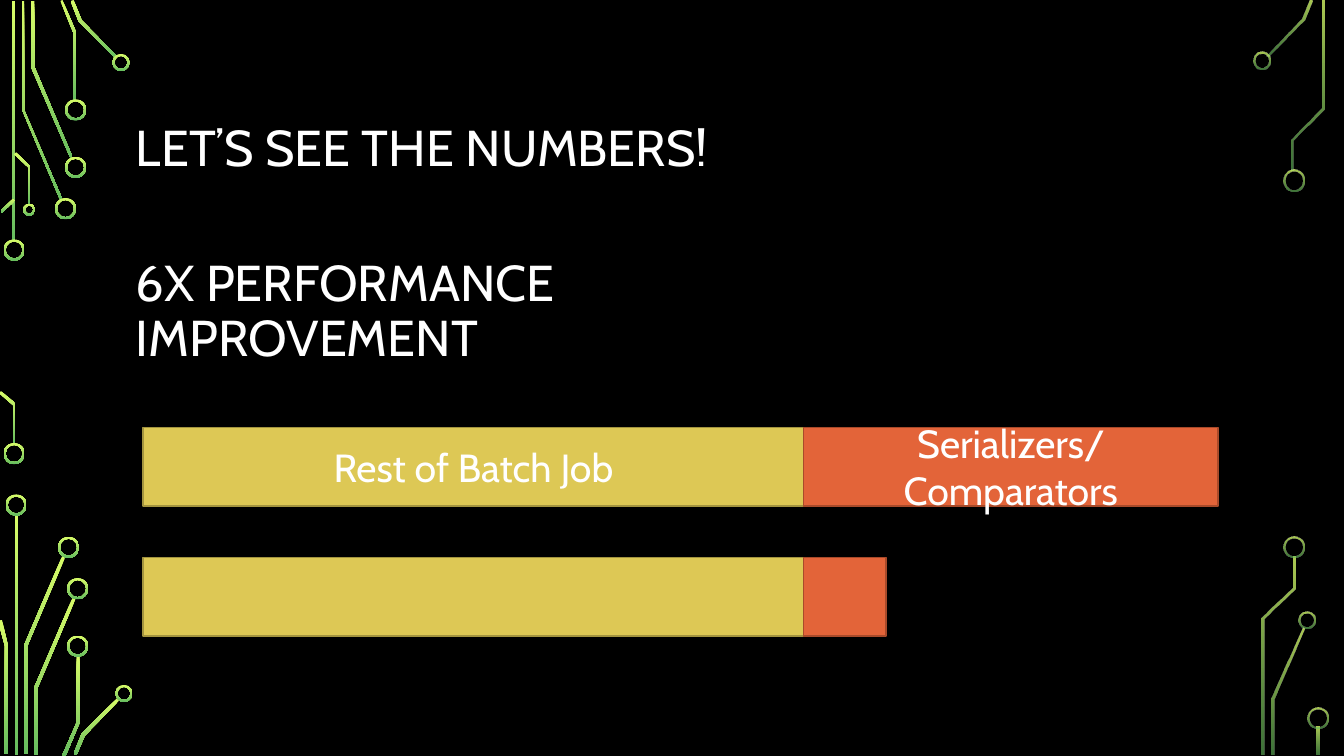
from lxml import etree
from pptx import Presentation
from pptx.dml.color import RGBColor
from pptx.enum.shapes import MSO_SHAPE
from pptx.enum.text import MSO_ANCHOR, PP_ALIGN
from pptx.oxml.ns import qn
from pptx.util import Inches, Pt

RECT = MSO_SHAPE.RECTANGLE
DONUT = MSO_SHAPE.DONUT
MIDDLE = MSO_ANCHOR.MIDDLE
LEFT = PP_ALIGN.LEFT
CENTER = PP_ALIGN.CENTER

FONT = "Cabin"
LIME, GREEN = "D8FC68", "66BD5F"
GOLD, OLIVE = "DDC855", "A3943F"
ORANGE, RUST = "E36439", "A84A2A"
RIM = 0.02

LEFT_BARS = [(0.12, 0.01, 0.03, 2.39), (0.15, 5.1, 0.03, 2.39)]
LEFT_RINGS = [
    (0.14, 2.48, 0.21), (0.14, 4.5, 0.21), (0.65, 2.07, 0.21),
    (0.75, 1.66, 0.21), (0.75, 1.09, 0.21), (1.2, 0.62, 0.17),
    (0.29, 2.08, 0.12), (0.16, 5.01, 0.21), (0.68, 5.43, 0.21),
    (0.77, 5.84, 0.21), (0.77, 6.41, 0.21), (1.23, 6.88, 0.17),
]
LEFT_WIRES = [
    [(0.6, 1.99), (0.22, 1.09), (0.22, 0.01), (0.24, 0.01), (0.24, 1.09), (0.62, 1.98)],
    [(0.7, 1.57), (0.31, 0.67), (0.31, 0.01), (0.34, 0.01), (0.34, 0.66), (0.72, 1.56)],
    [(0.76, 1), (0.73, 1), (0.73, 0.33), (0.6, 0.01), (0.62, 0), (0.76, 0.33)],
    [(1.15, 0.58), (0.78, 0.21), (0.7, 0.01), (0.73, 0), (0.81, 0.2), (1.16, 0.56)],
    [(0.02, 2.11), (0.01, 2.09), (0.13, 1.97), (0.15, 1.99)],
    [(0.15, 4.41), (0.13, 4.41), (0.13, 4.02), (-0.01, 3.9), (0.01, 3.88), (0.15, 4)],
    [(0.3, 2.03), (0.28, 2.03), (0.28, 1.66), (0.14, 1.53), (0.16, 1.51), (0.3, 1.65)],
    [(0.27, 7.48), (0.24, 7.48), (0.24, 6.4), (0.62, 5.51), (0.65, 5.52), (0.27, 6.41)],
    [(0.08, 7.48), (0.05, 7.48), (0.05, 6.41), (-0.02, 6.16), (0.02, 6.15), (0.08, 6.41)],
    [(0.37, 7.49), (0.34, 7.49), (0.34, 6.82), (0.72, 5.93), (0.75, 5.94), (0.37, 6.83)],
    [(0.65, 7.5), (0.62, 7.49), (0.76, 7.17), (0.76, 6.5), (0.79, 6.5), (0.79, 7.17)],
    [(0.76, 7.49), (0.73, 7.48), (0.81, 7.28), (1.17, 6.92), (1.19, 6.94), (0.84, 7.3)],
]
RIGHT_BARS = [(0.63, 7.21, 0.03, 0.28)]
RIGHT_RINGS = [
    (0.09, 0.6, 0.17), (0.4, 1.79, 0.21), (0.53, 6.15, 0.17),
    (0.4, 5.43, 0.21), (0.64, 7.12, 0.21),
]
RIGHT_WIRES = [
    [(0.15, 0.56), (0.13, 0.55), (0.48, 0.19), (0.56, 0), (0.59, 0.01), (0.51, 0.2)],
    [(0.21, 7.49), (0.18, 7.49), (0.18, 6.93), (0.49, 6.23), (0.51, 6.24), (0.21, 6.94)],
    [(0.4, 1.69), (0.38, 1.69), (0.38, 1.38), (0.68, 1.07), (0.68, 0.01),
     (0.71, 0.01), (0.71, 1.08), (0.4, 1.39)],
    [(0.11, 7.49), (0.08, 7.49), (0.08, 6.13), (0.39, 5.83), (0.39, 5.52),
     (0.42, 5.52), (0.42, 5.84), (0.11, 6.14)],
]


def rgb(code):
    """Turn a hex string into a colour."""
    return RGBColor.from_string(code)


def glow(shape, alphas):
    """Fill a circuit part with the lime to green fade."""
    shape.shadow.inherit = False
    shape.line.fill.background()
    shape.fill.gradient()
    shape.fill.gradient_angle = 270
    for stop, code in zip(shape.fill.gradient_stops, (LIME, GREEN)):
        stop.color.rgb = rgb(code)
    if alphas:
        for tint, alpha in zip(shape.element.iter(qn("a:srgbClr")), alphas):
            etree.SubElement(tint, qn("a:alpha")).set("val", str(alpha * 1000))


def circuit(slide, x, bars, rings, wires, alphas=None):
    """Draw one edge of circuit traces starting at x."""
    shapes = slide.shapes
    for left, top, width, height in bars:
        bar = shapes.add_shape(RECT, Inches(x + left), Inches(top), Inches(width), Inches(height))
        glow(bar, alphas)
    for points in wires:
        spots = [(Inches(x + px), Inches(py)) for px, py in points]
        pen = shapes.build_freeform(*spots[0])
        pen.add_line_segments(spots[1:], close=True)
        glow(pen.convert_to_shape(), alphas)
    for mid, level, size in rings:
        ring = shapes.add_shape(DONUT, Inches(x + mid - size / 2), Inches(level - size / 2),
                                Inches(size), Inches(size))
        ring.adjustments[0] = RIM / size
        glow(ring, alphas)


def write(shape, text, size=28, align=CENTER, space=1.0, color="FFFFFF"):
    """Put formatted text in a shape."""
    frame = shape.text_frame
    frame.word_wrap = True
    frame.vertical_anchor = MIDDLE
    para = frame.paragraphs[0]
    para.alignment = align
    para.line_spacing = space
    run = para.add_run()
    run.text = text
    run.font.name = FONT
    run.font.size = Pt(size)
    run.font.color.rgb = rgb(color)


def heading(slide, x, y, width, text):
    """Place a large heading."""
    box = slide.shapes.add_textbox(Inches(x), Inches(y), Inches(width), Inches(1.62))
    write(box, text, size=36, align=LEFT, space=0.9)


def timing(slide, x, y, parts):
    """Place a row of bar segments end to end."""
    for width, fill, edge, label in parts:
        part = slide.shapes.add_shape(RECT, Inches(x), Inches(y), Inches(width), Inches(0.78))
        part.shadow.inherit = False
        part.fill.solid()
        part.fill.fore_color.rgb = rgb(fill)
        part.line.color.rgb = rgb(edge)
        part.line.width = Pt(1.25)
        if label:
            write(part, label)
        x += width


def main():
    """Build the slide and save it."""
    deck = Presentation()
    deck.slide_width, deck.slide_height = Inches(13.33), Inches(7.5)
    slide = deck.slides.add_slide(deck.slide_layouts[6])
    slide.background.fill.solid()
    slide.background.fill.fore_color.rgb = rgb("000000")
    circuit(slide, 0, LEFT_BARS, LEFT_RINGS, LEFT_WIRES)
    circuit(slide, 12.43, RIGHT_BARS, RIGHT_RINGS, RIGHT_WIRES, alphas=(80, 60))
    heading(slide, 1.25, 0.68, 10.83, "LET’S SEE THE NUMBERS!")
    heading(slide, 1.25, 2.29, 7.44, "6X PERFORMANCE IMPROVEMENT")
    timing(slide, 1.42, 4.24, [(6.55, GOLD, OLIVE, "Rest of Batch Job"),
                               (4.11, ORANGE, RUST, "Serializers/Comparators")])
    timing(slide, 1.42, 5.53, [(6.55, GOLD, OLIVE, ""), (0.82, ORANGE, RUST, "")])
    deck.save("out.pptx")


if __name__ == "__main__":
    main()
